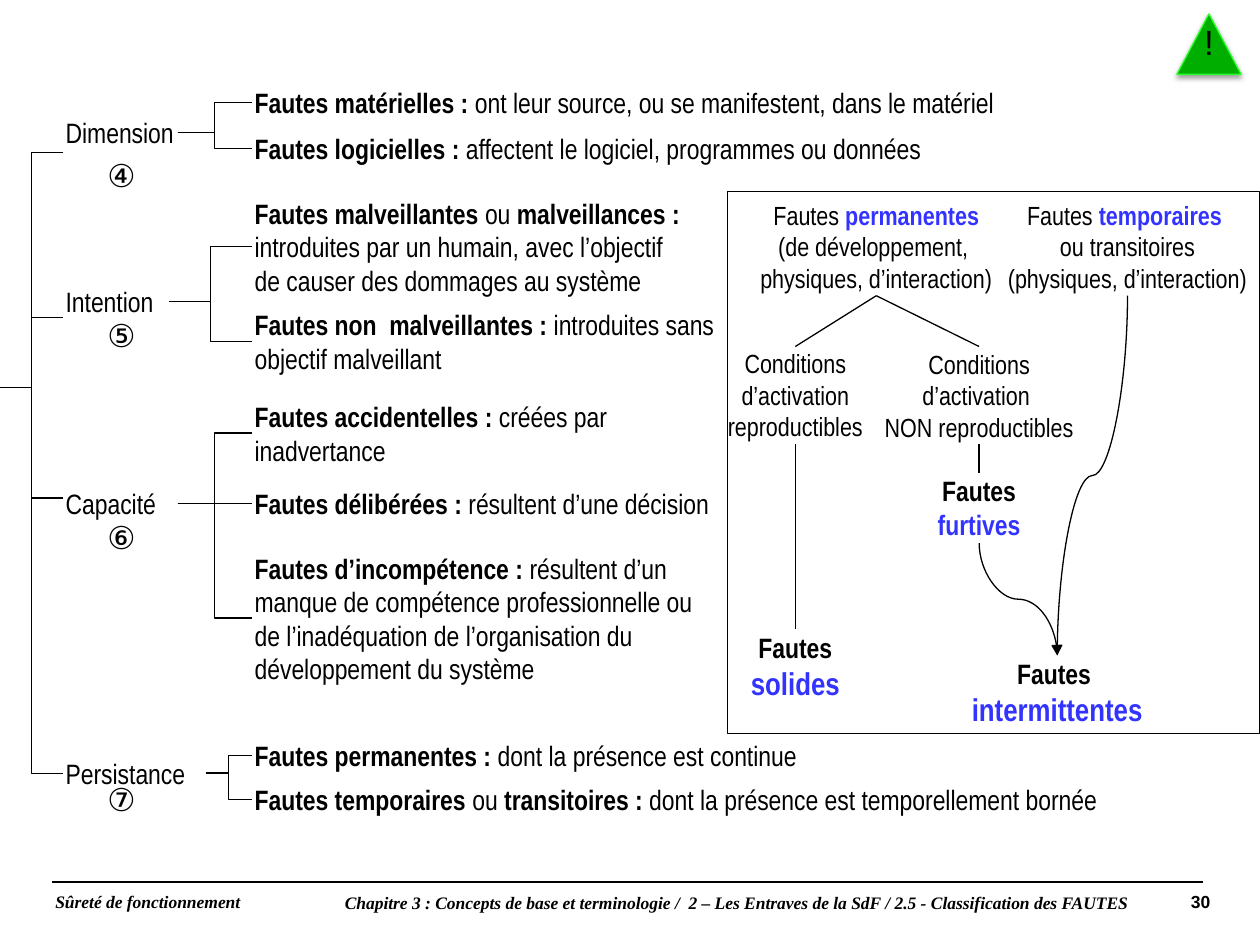
from dataclasses import dataclass

from lxml.etree import SubElement
from pptx import Presentation
from pptx.dml.color import RGBColor
from pptx.enum.dml import MSO_LINE
from pptx.enum.shapes import MSO_CONNECTOR as Link, MSO_SHAPE as Form
from pptx.enum.text import MSO_ANCHOR as Anchor, PP_ALIGN as Align
from pptx.oxml.ns import qn
from pptx.util import Pt

TOP, LEFT, BOTTOM, RIGHT = range(4)


@dataclass(frozen=True)
class Theme:
    ink: str = "000000"
    key: str = "3333FF"
    sign: str = "00AE00"
    edge: str = "2BFF2B"
    narrow: str = "Arial Narrow"
    sans: str = "Arial"
    serif: str = "Times New Roman"
    foot: float = 10
    tab: float = 14
    small: float = 15
    body: float = 16
    big: float = 18
    alert: float = 20
    thin: float = 0.75


TIGHT = (1.5, 0.75)
WIDE = (7.2, 0.75)


def color(code):
    return RGBColor.from_string(code)


class Deck:
    def __init__(self, theme):
        self.theme = theme
        self.show = Presentation()
        self.show.slide_width, self.show.slide_height = Pt(720), Pt(540)
        self.slide = self.show.slides.add_slide(self.show.slide_layouts[6])
        self.shapes = self.slide.shapes

    def text(self, box, paras, size=None, font=None, pad=TIGHT, align=Align.LEFT,
             anchor=Anchor.TOP, wrap=True):
        """Each paragraph is a list of runs; a leading * means bold,
        # bold in the key colour, ^ the same but larger."""
        theme = self.theme
        shape = self.shapes.add_textbox(*map(Pt, box))
        frame = shape.text_frame
        frame.word_wrap, frame.vertical_anchor = wrap, anchor
        frame.margin_left = frame.margin_right = Pt(pad[0])
        frame.margin_top = frame.margin_bottom = Pt(pad[1])
        for i, runs in enumerate(paras):
            para = frame.paragraphs[0] if i == 0 else frame.add_paragraph()
            para.alignment = align
            para.font.name = font or theme.narrow
            para.font.size = Pt(size or theme.body)
            para.font.color.rgb = color(theme.ink)
            para.font.bold = all(run[0] in "*#^" for run in runs)
            for run in runs:
                self.run(para, run)
        return shape

    def run(self, para, words):
        mark = words[0] if words[0] in "*#^" else ""
        for i, line in enumerate(words[len(mark):].split("\n")):
            if i:
                para.add_line_break()
            if not line:
                continue
            run = para.add_run()
            run.text = line
            if mark and not para.font.bold:
                run.font.bold = True
            if mark in ("#", "^"):
                run.font.color.rgb = color(self.theme.key)
            if mark == "^":
                run.font.size = Pt(self.theme.big)

    def line(self, kind, start, end, width=None):
        line = self.shapes.add_connector(kind, *map(Pt, start + end))
        line.line.color.rgb = color(self.theme.ink)
        line.line.width = Pt(width or self.theme.thin)
        SubElement(line._element.spPr, qn("a:effectLst"))
        return line

    def join(self, kind, source, exit, target, entry):
        line = self.line(kind, (0, 0), (1, 1))
        line.begin_connect(source, exit)
        line.end_connect(target, entry)
        return line

    def curve(self, source, target):
        """Join bottom to top with an S curve that leaves and arrives upright."""
        line = self.join(Link.CURVE, source, BOTTOM, target, TOP)
        right = line.end_x > line.begin_x
        wide, high = line.width, line.height
        shift = (wide - high) // 2
        line.left, line.top = line.left + shift, line.top - shift
        line.width, line.height = high, wide
        frame = line._element.spPr.find(qn("a:xfrm"))
        frame.set("rot", str((270 if right else 90) * 60000))
        frame.set("flipH", "1" if right else "0")
        SubElement(line.line._get_or_add_ln(), qn("a:tailEnd"), type="triangle")

    def shape(self, form, box, fill, edge, width):
        shape = self.shapes.add_shape(form, *map(Pt, box))
        shape.shadow.inherit = False
        if fill:
            shape.fill.solid()
            shape.fill.fore_color.rgb = color(fill)
        else:
            shape.fill.background()
        shape.line.color.rgb = color(edge)
        shape.line.width = Pt(width)
        return shape

    def branch(self, name, digit, top, wide, mark, stem, leaves):
        label = self.text((36, top, wide, 28), [[name]], anchor=Anchor.MIDDLE)
        for y, width, high, paras in leaves:
            leaf = self.text((144, y, width, high), paras, anchor=Anchor.MIDDLE)
            level = abs(y + high / 2 - top - 14) < 1
            self.join(Link.STRAIGHT if level else Link.ELBOW, label, RIGHT, leaf, LEFT)
        self.line(Link.ELBOW, (0, 221.5), (36, stem))
        self.text((59.8, mark, 22.3, 21.6), [[digit]], self.theme.big,
                  self.theme.sans, (1.5, 0))

    def footer(self):
        theme = self.theme
        self.line(Link.STRAIGHT, (29.5, 504), (687.5, 504), 1)
        left = self.text((24.5, 503.3, 685, 22.3),
                         [["*Sûreté de fonctionnement", "*\t", "*30"]],
                         theme.foot, theme.serif, (7.2, 3.6))
        para = left.text_frame.paragraphs[0]
        para.line_spacing = 0.9
        title, gap, page = para.runs
        title.font.italic = True
        gap.font.size = Pt(theme.tab)
        gap.font.name = page.font.name = theme.sans
        tabs = para._p.get_or_add_pPr()
        stops = tabs.makeelement(qn("a:tabLst"))
        SubElement(stops, qn("a:tab"), pos=str(Pt(660)), algn="r")
        tabs.find(qn("a:defRPr")).addprevious(stops)
        path = ("*Chapitre 3 : Concepts de base et terminologie /  2 – Les Entraves"
                " de la SdF / 2.5 - Classification des FAUTES")
        right = self.text((191.5, 507, 455.8, 18), [[path]], theme.foot, theme.serif,
                          (2.9, 2.9), Align.RIGHT, wrap=False)
        right.text_frame.paragraphs[0].font.italic = True

    def warning(self):
        theme, box = self.theme, (672.5, 8, 36.7, 34.5)
        sign = self.shape(Form.TRAPEZOID, box, theme.sign, theme.edge, theme.thin)
        sign.adjustments[0] = 0.53
        shade = SubElement(sign._element.spPr.find(qn("a:effectLst")), qn("a:outerShdw"),
                           blurRad=str(Pt(3.1)), dist=str(Pt(1.6)), dir="5400000")
        tone = SubElement(shade, qn("a:srgbClr"), val=theme.ink)
        SubElement(tone, qn("a:alpha"), val="38000")
        mark = self.text(box, [["!"]], theme.alert, theme.sans, (2, 2),
                         Align.CENTER, Anchor.MIDDLE)
        mark.text_frame.paragraphs[0].line_spacing = 0.9
        self.shapes.add_group_shape([sign, mark])


BRANCHES = [
    ("Dimension", "④", 61.6, 65.5, 89.3, 87, [
        (48.2, 488.5, 21, [["*Fautes matérielles : ", "ont leur source, ou se manifestent, dans le matériel"]]),
        (74.3, 425, 21, [["*Fautes logicielles : ", "affectent le logiciel, programmes ou données"]])]),
    ("Intention", "⑤", 158.4, 60.5, 180.7, 181.5, [
        (110.9, 263.5, 60, [["*Fautes malveillantes ", "ou", "* malveillances : ", "introduites par un humain, avec l’objectif"],
                            ["de causer des dommages au système"]]),
        (175, 266, 40, [["*Fautes non  malveillantes : ", "introduites sans objectif malveillant"]])]),
    ("Capacité", "⑥", 273.6, 65.5, 295.9, 284.5, [
        (227.5, 272, 40, [["*Fautes accidentelles : ", "créées par inadvertance"]]),
        (277.1, 268, 21, [["*Fautes délibérées : ", "résultent d’une décision"]]),
        (314, 267.5, 78.5, [["*Fautes d’incompétence : ", "résultent d’un manque de compétence professionnelle "
                             "ou de l’inadéquation de l’organisation du développement du système"]])]),
    ("Persistance", "⑦", 427.7, 81.5, 445.7, 442, [
        (421.2, 320, 21, [["*Fautes permanentes : ", "dont la présence est continue"]]),
        (446.3, 517, 21, [["*Fautes temporaires ", "ou", "* transitoires : ", "dont la présence est temporellement bornée"]])]),
]


def main():
    theme = Theme()
    deck = Deck(theme)
    deck.footer()
    for item in BRANCHES:
        deck.branch(*item)

    deck.shape(Form.RECTANGLE, (415.5, 109.5, 304.5, 309.5), None, theme.ink, 0.5)

    def node(box, paras, size=theme.body, wrap=True):
        return deck.text(box, paras, size, pad=WIDE, align=Align.CENTER, wrap=wrap)

    lasting = node((427, 113, 147.5, 56), [["Fautes ", "#permanentes"], ["(de développement, \nphysiques, d’interaction)"]],
                   theme.small, False)
    passing = node((568.8, 113, 151, 56), [["Fautes ", "#temporaires \n", "ou transitoires"], ["(physiques, d’interaction)"]],
                   theme.small, False)
    steady = node((404, 198, 101, 56), [["Conditions d’activation reproductibles"]], theme.small)
    fickle = node((495.4, 198, 128.2, 55.5), [["Conditions d’activation "], ["NON reproductibles"]], theme.small)
    solid = node((414.5, 359.3, 80, 42.5), [["*Fautes ", "^solides"]])
    hidden = node((516.3, 270, 86.4, 40.3), [["*Fautes ", "#furtives"]])
    fitful = node((548, 374.5, 112.3, 42.5), [["*Fautes "], ["^intermittentes"]], wrap=False)
    for upper, lower in [(lasting, steady), (lasting, fickle), (steady, solid), (fickle, hidden)]:
        deck.join(Link.STRAIGHT, upper, BOTTOM, lower, TOP)
    for upper in (hidden, passing):
        deck.curve(upper, fitful)

    deck.warning()
    deck.show.save("out.pptx")


if __name__ == "__main__":
    main()
